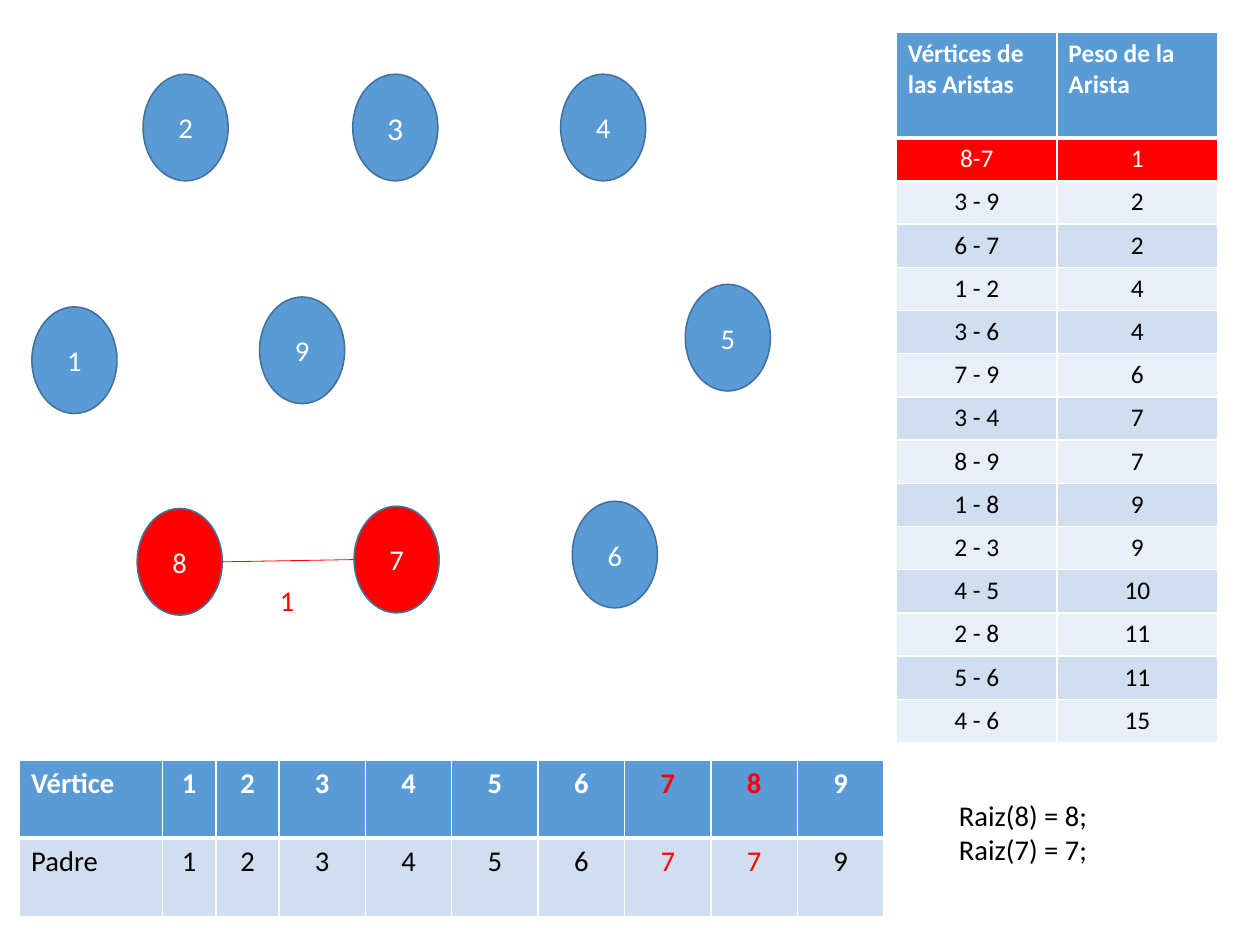
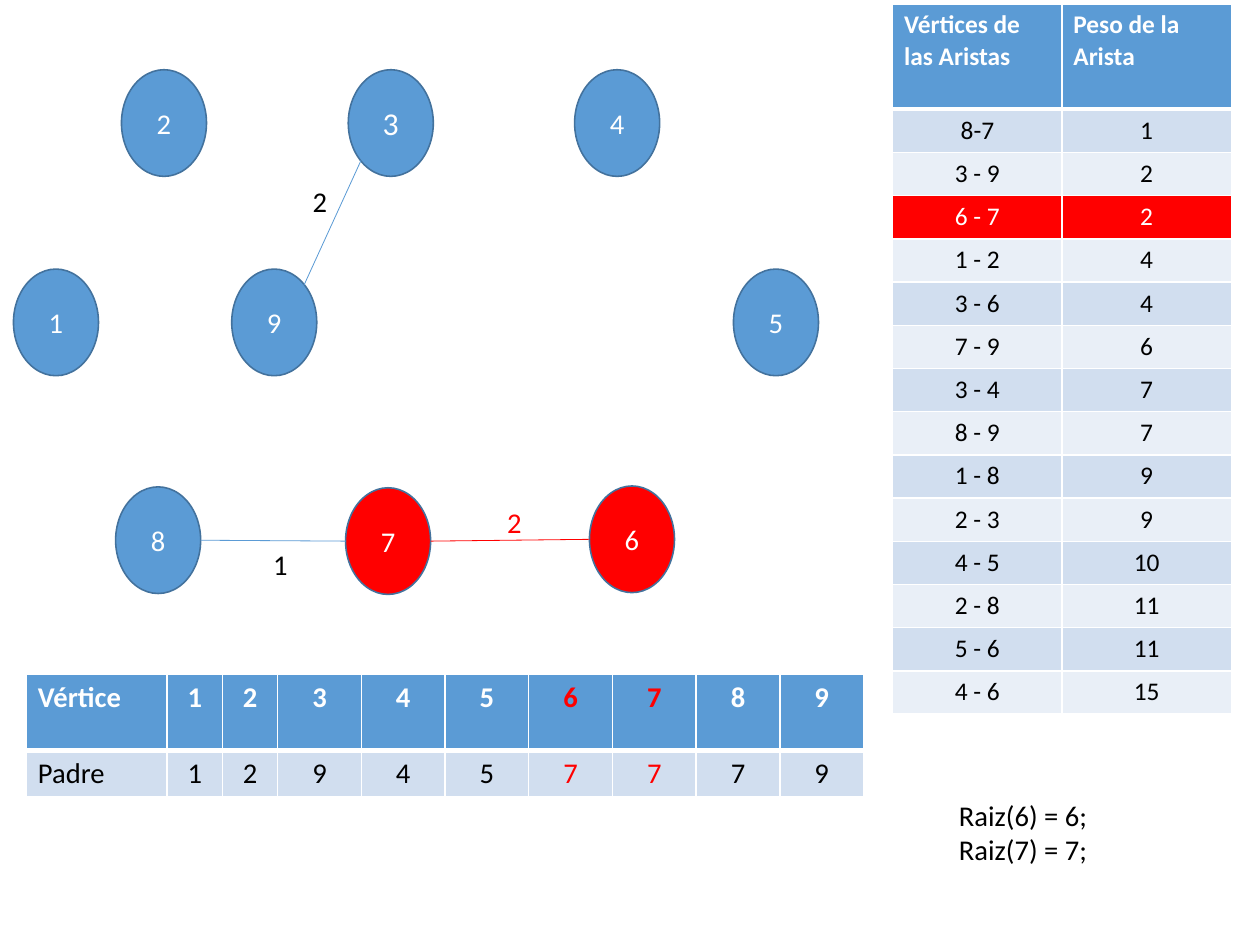
from lxml.etree import SubElement
from pptx import Presentation
from pptx.dml.color import RGBColor
from pptx.enum.shapes import MSO_CONNECTOR as Connector, MSO_SHAPE as Shape
from pptx.enum.text import MSO_ANCHOR as Anchor, PP_ALIGN as Align
from pptx.oxml.ns import qn
from pptx.util import Cm, Pt

COLOURS = {
    "blue": "5B9BD5",
    "outline": "43729D",
    "red": "FF0000",
    "band": "D1DEEF",
    "light_band": "E9EFF7",
    "white": "FFFFFF",
    "black": "000000",
}
FONT = "Calibri"
NODE_WIDTH, NODE_HEIGHT = 1.89, 2.37
SITES = {
    "left": (0, 0.5),
    "right": (1, 0.5),
    "bottom_left": (0.15, 0.85),
    "top_right": (0.85, 0.15),
}
EDGES = [
    ("8-7", 1), ("3 - 9", 2), ("6 - 7", 2), ("1 - 2", 4), ("3 - 6", 4),
    ("7 - 9", 6), ("3 - 4", 7), ("8 - 9", 7), ("1 - 8", 9), ("2 - 3", 9),
    ("4 - 5", 10), ("2 - 8", 11), ("5 - 6", 11), ("4 - 6", 15),
]
STEPS = [
    {
        "nodes": {
            5: (15.23, 6.32), 9: (5.77, 6.6), 2: (3.18, 1.65),
            1: (0.71, 6.82), 7: (7.87, 11.25), 8: (3.05, 11.3),
            6: (12.72, 11.14), 3: (7.84, 1.65), 4: (12.46, 1.65),
        },
        "active": (7, 8),
        "active_edge": "8-7",
        "links": [(8, "right", 7, "left", "red")],
        "labels": [("1", 5.97, 12.83, "red")],
        "edge_table": (19.92, 0.72, 3.57),
        "parent_table": (0.44, 16.9),
        "parent_columns": [3.17, 1.19, 1.4] + [1.92] * 7,
        "parent_rows": [1.73, 1.73],
        "parents": [1, 2, 3, 4, 5, 6, 7, 7, 9],
        "roots": "Raiz(8) = 8;\nRaiz(7) = 7;",
    },
    {
        "nodes": {
            5: (16.3, 5.98), 9: (5.15, 5.98), 2: (2.7, 1.55),
            1: (0.3, 5.98), 7: (7.68, 10.84), 8: (2.57, 10.82),
            6: (13.1, 10.8), 3: (7.74, 1.55), 4: (12.77, 1.55),
        },
        "active": (6, 7),
        "active_edge": "6 - 7",
        "links": [
            (8, "right", 7, "left", "blue"),
            (3, "bottom_left", 9, "top_right", "blue"),
            (7, "right", 6, "left", "red"),
        ],
        "labels": [
            ("1", 5.82, 12.04, "black"),
            ("2", 6.7, 3.96, "black"),
            ("2", 11.02, 11.1, "red"),
        ],
        "edge_table": (19.84, 0.09, 3.76),
        "parent_table": (0.59, 14.98),
        "parent_columns": [3.12, 1.24, 1.22] + [1.86] * 7,
        "parent_rows": [1.7, 1.03],
        "parents": [1, 2, 9, 4, 5, 7, 7, 7, 9],
        "roots": "Raiz(6) = 6;\nRaiz(7) = 7;",
    },
]


def colour(name):
    return RGBColor.from_string(COLOURS[name])


def write(frame, text, size=18, ink="black", bold=False, align=Align.LEFT):
    for index, line in enumerate(text.split("\n")):
        paragraph = frame.add_paragraph() if index else frame.paragraphs[0]
        paragraph.alignment = align
        run = paragraph.add_run()
        run.text = line
        run.font.name = FONT
        run.font.size = Pt(size)
        run.font.bold = bold
        run.font.color.rgb = colour(ink)


def set_borders(cell, **widths):
    properties = cell._tc.get_or_add_tcPr()
    for side in "LRTB":
        width = Pt(widths.get(side, 0.96))
        border = SubElement(properties, qn(f"a:ln{side}"), w=str(width))
        fill = SubElement(border, qn("a:solidFill"))
        SubElement(fill, qn("a:srgbClr"), val=COLOURS["white"])


class GraphDeck:
    def __init__(self):
        self.presentation = Presentation()
        self.presentation.slide_width = Cm(28)
        self.presentation.slide_height = Cm(21)
        self.slide = None

    def add_slide(self):
        layout = self.presentation.slide_layouts[6]
        self.slide = self.presentation.slides.add_slide(layout)

    def node(self, number, left, top, active):
        shape = self.slide.shapes.add_shape(
            Shape.OVAL, Cm(left), Cm(top), Cm(NODE_WIDTH), Cm(NODE_HEIGHT))
        shape.shadow.inherit = False
        shape.fill.solid()
        shape.fill.fore_color.rgb = colour("red" if active else "blue")
        shape.line.color.rgb = colour("outline")
        shape.line.width = Pt(1)
        shape.text_frame.vertical_anchor = Anchor.MIDDLE
        write(shape.text_frame, str(number), size=20 if number == 3 else 18,
              ink="white", align=Align.CENTER)

    def link(self, start, end, ink):
        connector = self.slide.shapes.add_connector(
            Connector.STRAIGHT, *(Cm(value) for value in start + end))
        connector.line.color.rgb = colour(ink)
        connector.line.width = Pt(0.5)
        SubElement(connector._element.spPr, qn("a:effectLst"))

    def label(self, text, left, top, width=0.81, height=1.02, ink="black"):
        box = self.slide.shapes.add_textbox(
            Cm(left), Cm(top), Cm(width), Cm(height))
        box.text_frame.word_wrap = False
        write(box.text_frame, text, ink=ink)

    def table(self, left, top, columns, rows, cells):
        frame = self.slide.shapes.add_table(
            len(rows), len(columns), Cm(left), Cm(top),
            Cm(sum(columns)), Cm(sum(rows)))
        table = frame.table
        for column, width in zip(table.columns, columns):
            column.width = Cm(width)
        for row, height in zip(table.rows, rows):
            row.height = Cm(height)
        heavy_sides = [{"B": 3}, {"T": 3}]
        for row_index, row in enumerate(cells):
            heavy = heavy_sides[row_index] if row_index < 2 else {}
            for column_index, (text, fill, text_format) in enumerate(row):
                cell = table.cell(row_index, column_index)
                set_borders(cell, **heavy)
                cell.fill.solid()
                cell.fill.fore_color.rgb = colour(fill)
                write(cell.text_frame, str(text), **text_format)

    def edge_table(self, left, top, column_width, active_edge):
        header = {"size": 16, "ink": "white", "bold": True}
        cells = [[(title, "blue", header) for title in
                  ("Vértices de las Aristas", "Peso de la Arista")]]
        for index, edge in enumerate(EDGES):
            active = edge[0] == active_edge
            fill = "red" if active else ("band", "light_band")[index % 2]
            body = {"size": 16, "ink": "white" if active else "black",
                    "align": Align.CENTER}
            cells.append([(value, fill, body) for value in edge])
        self.table(left, top, [column_width] * 2,
                   [2.34] + [0.96] * len(EDGES), cells)

    def parent_table(self, left, top, columns, rows, parents, active):
        numbers = range(1, len(parents) + 1)
        cells = []
        for title, values, fill, ink, bold in (
                ("Vértice", numbers, "blue", "white", True),
                ("Padre", parents, "band", "black", False)):
            row = [(title, fill, {"ink": ink, "bold": bold})]
            for number, value in zip(numbers, values):
                row.append((value, fill, {
                    "ink": "red" if number in active else ink,
                    "bold": bold, "align": Align.CENTER}))
            cells.append(row)
        self.table(left, top, columns, rows, cells)

    def step(self, step):
        self.add_slide()
        nodes = step["nodes"]
        for number, (left, top) in nodes.items():
            self.node(number, left, top, number in step["active"])
        self.edge_table(*step["edge_table"], step["active_edge"])
        self.parent_table(*step["parent_table"], step["parent_columns"],
                          step["parent_rows"], step["parents"], step["active"])
        for start, start_site, end, end_site, ink in step["links"]:
            points = [
                (nodes[number][0] + SITES[site][0] * NODE_WIDTH,
                 nodes[number][1] + SITES[site][1] * NODE_HEIGHT)
                for number, site in ((start, start_site), (end, end_site))]
            self.link(*points, ink)
        for text, left, top, ink in step["labels"]:
            self.label(text, left, top, ink=ink)
        self.label(step["roots"], 21.06, 17.6, width=3.35, height=1.78)


def main():
    deck = GraphDeck()
    for step in STEPS:
        deck.step(step)
    deck.presentation.save("out.pptx")


if __name__ == "__main__":
    main()
